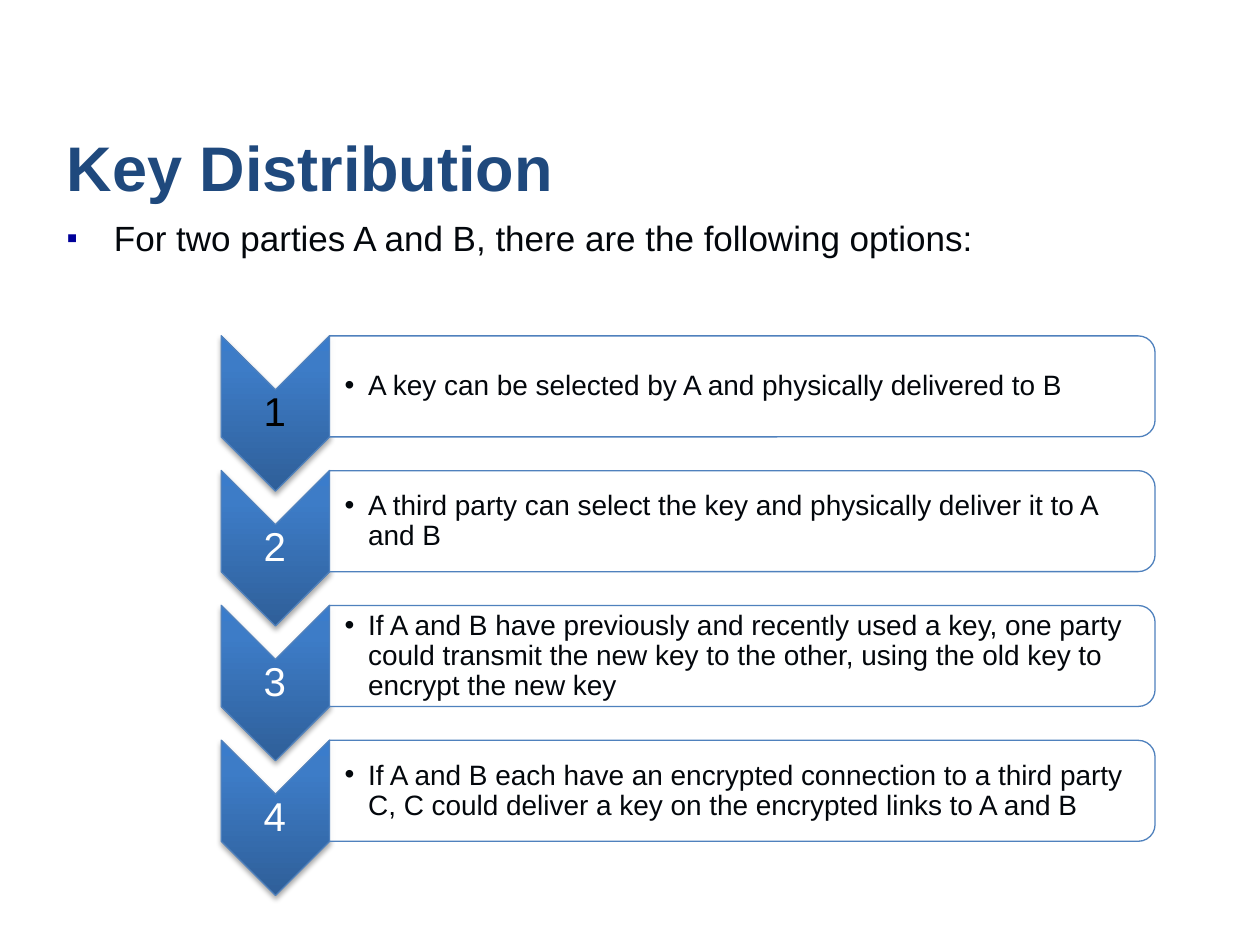
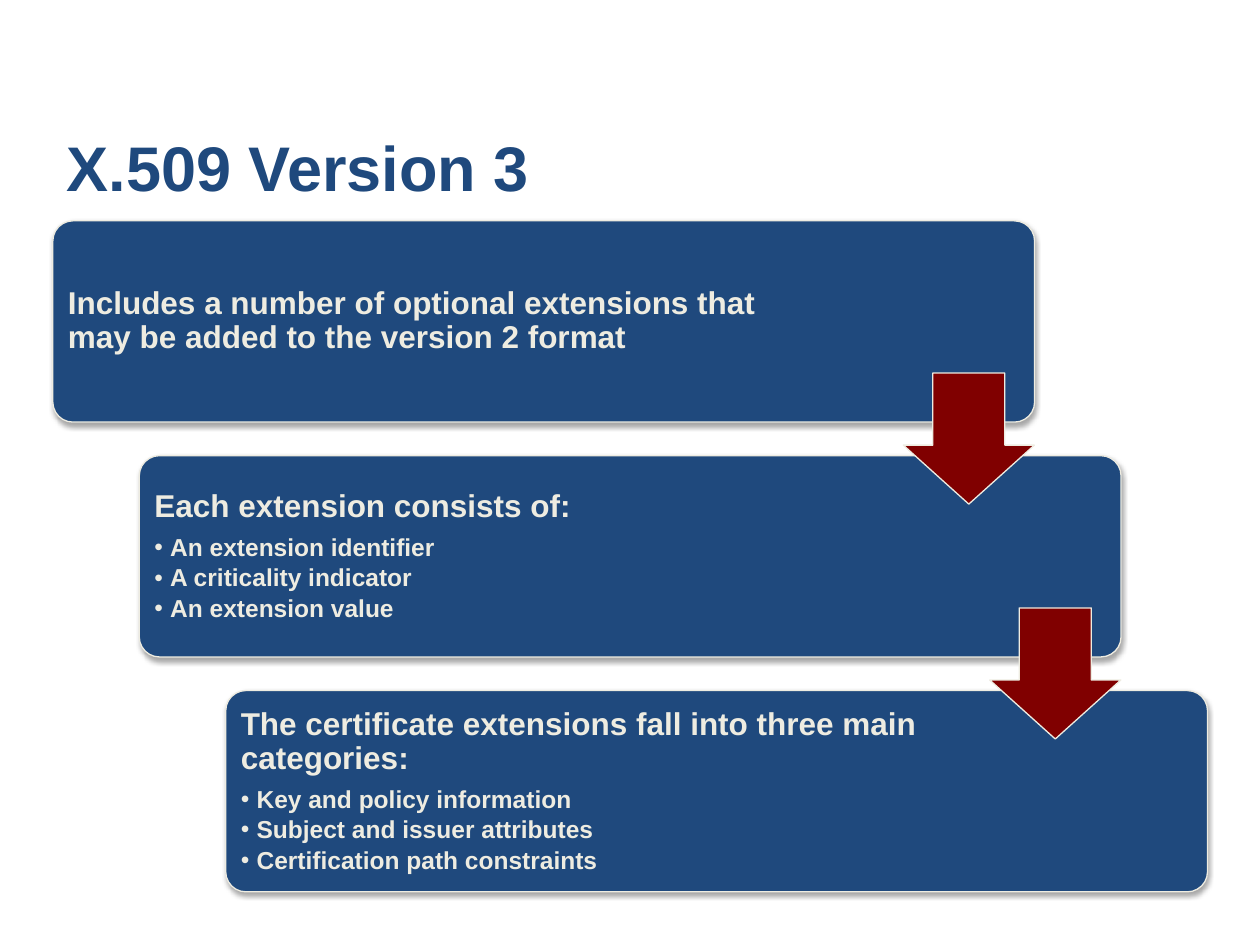
from dataclasses import dataclass

from lxml import etree
from pptx import Presentation
from pptx import util as u
from pptx.dml import color
from pptx.enum import shapes, text
from pptx.oxml import ns

HUES = {
    "title": "1F497D",
    "ink": "03070C",
    "black": "000000",
    "white": "FFFFFF",
    "edge": "4F81BD",
    "cream": "EEECE1",
    "arrow": "800000",
    "mark": "000099",
    "low": "2F5F99",
    "mid": "3D7CC7",
    "high": "3A7CCB",
}
FONT = "Arial"
FORM = shapes.MSO_SHAPE
MID = text.MSO_ANCHOR.MIDDLE
BASE = text.MSO_ANCHOR.BOTTOM


@dataclass
class Box:
    x: float
    y: float
    w: float
    h: float

    def move(self, dx: float, dy: float) -> "Box":
        return Box(self.x + dx, self.y + dy, self.w, self.h)

    def pts(self) -> list:
        return [u.Pt(n) for n in (self.x, self.y, self.w, self.h)]


@dataclass
class Style:
    size: float
    hue: str
    bold: bool = False
    lines: float = 1.0
    before: int = 0
    after: int = 0
    bullet: str = ""
    indent: float = 0
    mark: str = ""
    scale: int = 100
    align: text.PP_ALIGN = text.PP_ALIGN.LEFT


@dataclass
class Step:
    label: str
    words: str
    hue: str = "white"


@dataclass
class Card:
    head: str
    points: tuple
    width: float = 430


TITLE = Style(36, "title", bold=True)
LEAD = Style(20, "ink", before=20, bullet="▪", indent=27, mark="mark", scale=90)
NOTE = Style(16, "ink", lines=0.9, after=15, bullet="•", indent=13.5)
HEAD = Style(18, "cream", bold=True, lines=0.9, after=35)
POINT = Style(14, "cream", bold=True, lines=0.9, after=15, bullet="•", indent=9)

STEPS = [
    Step("1", "A key can be selected by A and physically delivered to B", "black"),
    Step("2", "A third party can select the key and physically deliver it to A and B"),
    Step("3", "If A and B have previously and recently used a key, one party could "
              "transmit the new key to the other, using the old key to encrypt the new key"),
    Step("4", "If A and B each have an encrypted connection to a third party C, "
              "C could deliver a key on the encrypted links to A and B"),
]
CARDS = [
    Card("Includes a number of optional extensions that may be added to the "
         "version 2 format", (), 437),
    Card("Each extension consists of:",
         ("An extension identifier", "A criticality indicator", "An extension value")),
    Card("The certificate extensions fall into three main categories:",
         ("Key and policy information", "Subject and issuer attributes",
          "Certification path constraints")),
]


def rgb(hue: str) -> color.RGBColor:
    return color.RGBColor.from_string(HUES[hue])


def add(node, tag: str, **attrs):
    return etree.SubElement(node, ns.qn("a:" + tag), {k: str(v) for k, v in attrs.items()})


def space(props, tag: str, share: int) -> None:
    gap = props.find(ns.qn("a:" + tag))
    for child in list(gap):
        gap.remove(child)
    add(gap, "spcPct", val=share * 1000)


def dress(par, style: Style) -> None:
    par.alignment = style.align
    par.line_spacing = style.lines
    par.space_before = par.space_after = u.Pt(0)
    props = par._p.get_or_add_pPr()
    if style.before:
        space(props, "spcBef", style.before)
    if style.after:
        space(props, "spcAft", style.after)
    if style.bullet:
        props.set("marL", str(u.Pt(style.indent)))
        props.set("indent", str(-u.Pt(style.indent)))
        if style.mark:
            add(add(props, "buClr"), "srgbClr", val=HUES[style.mark])
        add(props, "buSzPct", val=style.scale * 1000)
        add(props, "buFont", typeface=FONT)
        add(props, "buChar", char=style.bullet)
    for run in par.runs:
        run.font.name = FONT
        run.font.size = u.Pt(style.size)
        run.font.bold = style.bold
        run.font.color.rgb = rgb(style.hue)


def write(slide, box: Box, rows: list, anchor=text.MSO_ANCHOR.TOP,
          pads: tuple = (7.2, 3.6, 7.2, 3.6)) -> None:
    frame = slide.shapes.add_textbox(*box.pts()).text_frame
    frame.word_wrap = True
    frame.vertical_anchor = anchor
    frame.margin_left, frame.margin_top, frame.margin_right, frame.margin_bottom = map(u.Pt, pads)
    frame.text = "\n".join(words for words, _ in rows)
    for par, (_, style) in zip(frame.paragraphs, rows):
        dress(par, style)


def draw(slide, form, box: Box, fill: str, line: str, turn: float = 0, adjs: tuple = ()):
    shape = slide.shapes.add_shape(form, *box.pts())
    shape.rotation = turn
    shape.fill.solid()
    shape.fill.fore_color.rgb = rgb(fill)
    shape.line.color.rgb = rgb(line)
    shape.line.width = u.Pt(0.75)
    shape.shadow.inherit = False
    for i, val in enumerate(adjs):
        shape.adjustments[i] = val
    return shape


def shade(shape) -> None:
    effects = shape._element.spPr.find(ns.qn("a:effectLst"))
    cast = add(effects, "outerShdw", blurRad=u.Pt(3.1), dist=u.Pt(1.8),
               dir=90 * 60000, rotWithShape=0)
    add(add(cast, "srgbClr", val=HUES["black"]), "alpha", val=35000)


def blend(shape) -> None:
    solid = shape._element.spPr.find(ns.qn("a:solidFill"))
    grad = etree.Element(ns.qn("a:gradFill"), rotWithShape="0")
    stops = add(grad, "gsLst")
    for pos, hue in ((0, "low"), (80, "mid"), (100, "high")):
        add(add(stops, "gs", pos=pos * 1000), "srgbClr", val=HUES[hue])
    add(grad, "lin", ang=270 * 60000, scaled=0)
    solid.getparent().replace(solid, grad)


def fade(shape, share: int) -> None:
    solid = shape._element.spPr.find(ns.qn("a:solidFill"))
    add(solid[0], "alpha", val=share * 1000)


def start(deck, title: str):
    slide = deck.slides.add_slide(deck.slide_layouts[6])
    write(slide, Box(31, 72, 663, 48), [(title, TITLE)], BASE)
    return slide


def step(slide, item: Step, drop: float) -> None:
    tip = draw(slide, FORM.CHEVRON, Box(113, 205.2, 88.8, 62).move(0, drop),
               "mid", "edge", 90)
    blend(tip)
    shade(tip)
    label = Style(23, item.hue, lines=0.9, after=35, align=text.PP_ALIGN.CENTER)
    write(slide, Box(126, 223.2, 62, 26.6).move(0, drop), [(item.label, label)],
          MID, (1.4,) * 4)
    plate = draw(slide, FORM.ROUND_2_SAME_RECTANGLE,
                 Box(395.3, -15.1, 57.7, 471.8).move(0, drop), "white", "edge", 90)
    fade(plate, 90)
    write(slide, Box(188, 195, 469, 52).move(0, drop), [(item.words, NOTE)],
          MID, (8.9, 0.8, 0.8, 0.8))


def card(slide, item: Card, dx: float, dy: float) -> None:
    shade(draw(slide, FORM.ROUNDED_RECTANGLE, Box(30.2, 126.2, 561, 115).move(dx, dy),
               "title", "cream", adjs=(0.1,)))
    rows = [(item.head, HEAD)] + [(words, POINT) for words in item.points]
    write(slide, Box(33.5, 129.6, item.width, 108.5).move(dx, dy), rows, MID, (5.3,) * 4)


def build() -> None:
    deck = Presentation()
    deck.slide_width, deck.slide_height = u.Pt(720), u.Pt(540)

    keys = start(deck, "Key Distribution")
    write(keys, Box(31, 120.2, 597, 378),
          [("For two parties A and B, there are the following options:", LEAD)])
    for i, item in enumerate(STEPS):
        step(keys, item, i * 77.04)

    cert = start(deck, "X.509 Version 3")
    dx, dy = 49.4, 134.2
    for i, item in enumerate(CARDS):
        card(cert, item, i * dx, i * dy)
    for i in range(len(CARDS) - 1):
        draw(cert, FORM.DOWN_ARROW, Box(516.2, 213.2, 74.9, 74.9).move(i * dx, i * dy),
             "arrow", "cream", adjs=(0.55, 0.45))

    deck.save("out.pptx")


build()
